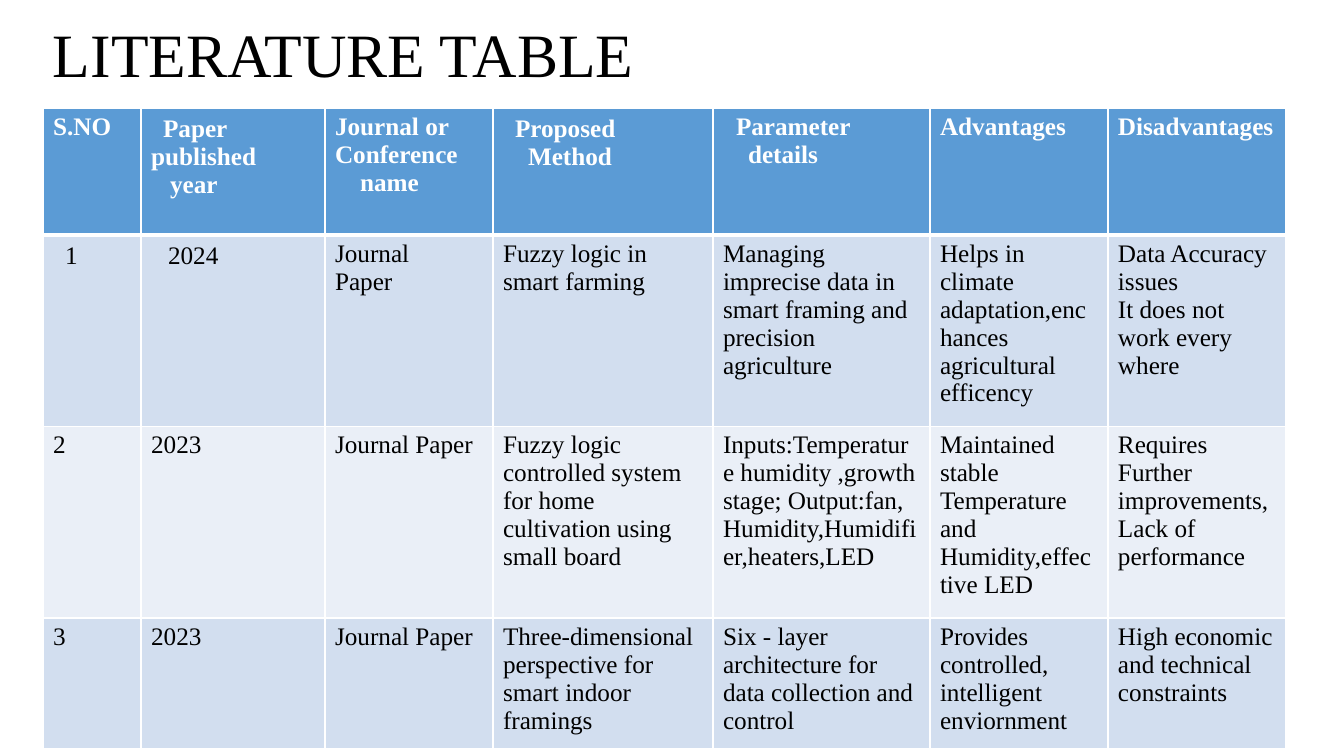
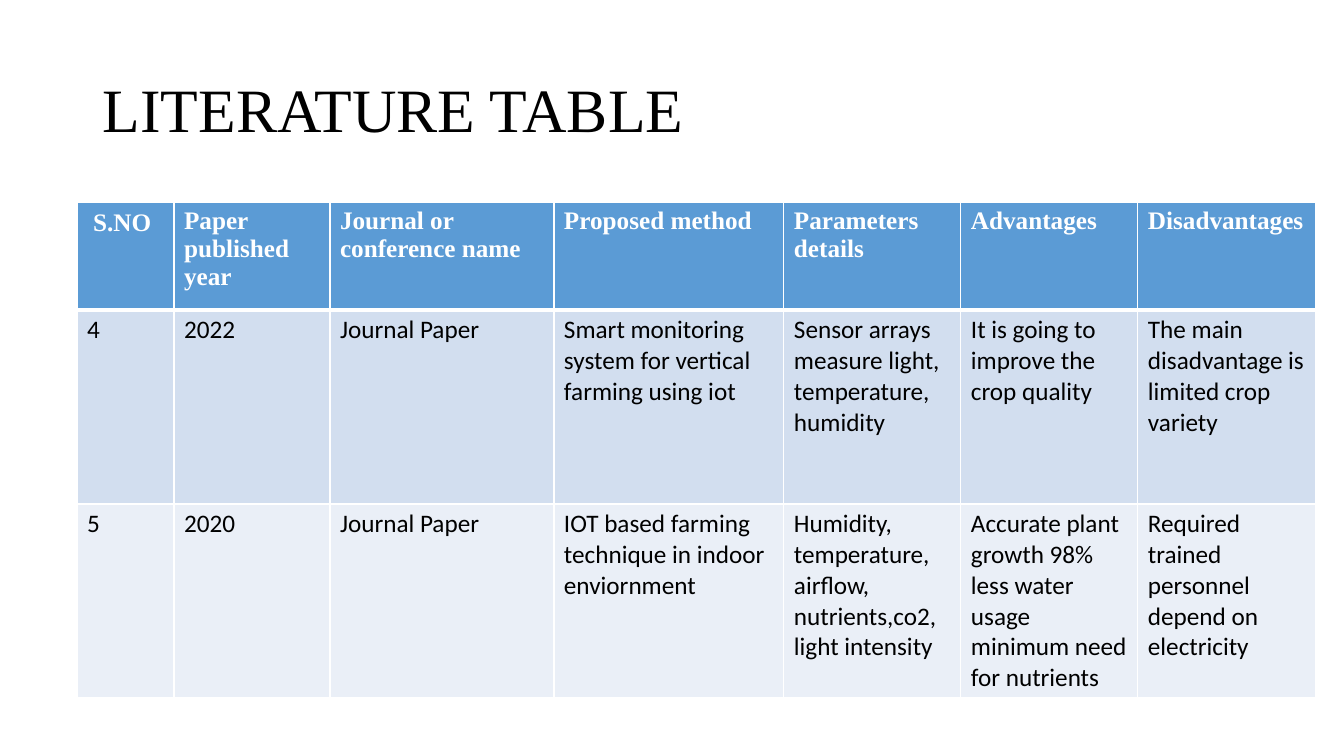
from lxml.etree import SubElement
from pptx import Presentation
from pptx.dml.color import RGBColor
from pptx.enum.text import MSO_ANCHOR
from pptx.oxml.ns import qn
from pptx.util import Emu, Pt

WIDE, HIGH = 1344, 756
SCALE = 12192000 / WIDE
WHITE = RGBColor(255, 255, 255)
BLACK = RGBColor(0, 0, 0)
BLUE = RGBColor(0x5B, 0x9B, 0xD5)
BANDS = (RGBColor(0xD2, 0xDE, 0xEF), RGBColor(0xEA, 0xEF, 0xF7))
SERIF, SANS = "Times New Roman", "Calibri"
TITLE = "LITERATURE TABLE"
PAD, DROP = 5, 2

# "indents" maps (row, column) to the left indent of each paragraph, in px;
# those cells also start DROP px lower if listed in "lowered".
SLIDES = [
    {
        "title": (43, 0, 1174, 115),
        "at": (43, 108),
        "cols": (98, 184, 168, 220, 217, 178, 178),
        "rows": (127, 180, 180, 127),
        "font": SERIF,
        "indents": {
            (0, 1): (12, 0, 19), (0, 2): (0, 0, 25), (0, 3): (12, 25),
            (0, 4): (13, 25), (1, 0): (12,), (1, 1): (17,),
        },
        "lowered": {(0, 1), (0, 3), (1, 0), (1, 1)},
        "cells": [
            ("S.NO", "Paper\npublished\nyear", "Journal or\nConference\nname",
             "Proposed\nMethod", "Parameter\ndetails", "Advantages",
             "Disadvantages"),
            ("1", "2024", "Journal\nPaper", "Fuzzy logic in smart farming",
             "Managing imprecise data in smart framing and precision agriculture",
             "Helps in climate adaptation,enchances agricultural efficency",
             "Data Accuracy issues\nIt does not work every where"),
            ("2", "2023", "Journal Paper",
             "Fuzzy logic controlled system for home cultivation using small board",
             "Inputs:Temperature humidity ,growth stage; Output:fan, "
             "Humidity,Humidifier,heaters,LED",
             "Maintained stable Temperature and Humidity,effective LED",
             "Requires Further improvements,\nLack of performance"),
            ("3", "2023", "Journal Paper",
             "Three-dimensional perspective for smart indoor framings",
             "Six - layer architecture for data collection and control",
             "Provides controlled, intelligent enviornment",
             "High economic and technical constraints"),
        ],
    },
    {
        "title": (93, 40, 1159, 146),
        "at": (77, 202),
        "cols": (97, 156, 224, 230, 177, 177, 178),
        "rows": (108, 194, 194),
        "font": SANS,
        "indents": {(0, 0): (6,)},
        "lowered": {(0, 0)},
        "cells": [
            ("S.NO", "Paper published year", "Journal or conference name",
             "Proposed method", "Parameters\ndetails", "Advantages",
             "Disadvantages"),
            ("4", "2022", "Journal Paper",
             "Smart monitoring system for vertical farming using iot",
             "Sensor arrays measure light,\ntemperature,\nhumidity",
             "It is going to improve the crop quality",
             "The main disadvantage is limited crop variety"),
            ("5", "2020", "Journal Paper",
             "IOT based farming technique in indoor enviornment",
             "Humidity, temperature, airflow, nutrients,co2, light intensity",
             "Accurate plant growth 98% less water usage minimum need for nutrients",
             "Required trained personnel depend on electricity"),
        ],
    },
]


def px(num):
    return Emu(round(num * SCALE))


def write(frame, text, font=SERIF, size=18, color=BLACK, bold=False,
          space=None, indents=()):
    frame.word_wrap = True
    for i, line in enumerate(text.split("\n")):
        para = frame.paragraphs[0] if i == 0 else frame.add_paragraph()
        if space:
            para.line_spacing = space
        if i < len(indents) and indents[i]:
            props = para._p.get_or_add_pPr()
            props.set("marL", str(px(indents[i])))
            props.set("indent", "0")
        run = para.add_run()
        run.text = line
        run.font.name = font
        run.font.size = Pt(size)
        run.font.bold = bold
        run.font.color.rgb = color


def edge(cell, row):
    """Draw white borders, thick between the header and the body."""
    props = cell._tc.get_or_add_tcPr()
    widths = {"L": 1, "R": 1, "T": 3 if row == 1 else 1,
              "B": 3 if row == 0 else 1}
    for i, (side, width) in enumerate(widths.items()):
        line = SubElement(props, qn(f"a:ln{side}"), w=str(Pt(width)))
        fill = SubElement(line, qn("a:solidFill"))
        SubElement(fill, qn("a:srgbClr"), val=str(WHITE))
        props.insert(i, line)


def add_grid(slide, data):
    cols, rows = data["cols"], data["rows"]
    box = (*data["at"], sum(cols), sum(rows))
    grid = slide.shapes.add_table(len(rows), len(cols), *map(px, box)).table
    for col, width in zip(grid.columns, cols):
        col.width = px(width)
    for row, height in zip(grid.rows, rows):
        row.height = px(height)
    for r, texts in enumerate(data["cells"]):
        head = r == 0
        for c, text in enumerate(texts):
            cell = grid.cell(r, c)
            cell.fill.solid()
            cell.fill.fore_color.rgb = BLUE if head else BANDS[(r - 1) % 2]
            low = (r, c) in data["lowered"]
            cell.margin_top = px(PAD + DROP if low else PAD)
            edge(cell, r)
            write(cell.text_frame, text, bold=head,
                  font=SERIF if head else data["font"],
                  color=WHITE if head else BLACK,
                  indents=data["indents"].get((r, c), ()))


def main():
    deck = Presentation()
    deck.slide_width, deck.slide_height = px(WIDE), px(HIGH)
    for data in SLIDES:
        slide = deck.slides.add_slide(deck.slide_layouts[6])
        frame = slide.shapes.add_textbox(*map(px, data["title"])).text_frame
        frame.vertical_anchor = MSO_ANCHOR.MIDDLE
        write(frame, TITLE, size=44, space=0.9)
        add_grid(slide, data)
    deck.save("out.pptx")


if __name__ == "__main__":
    main()
